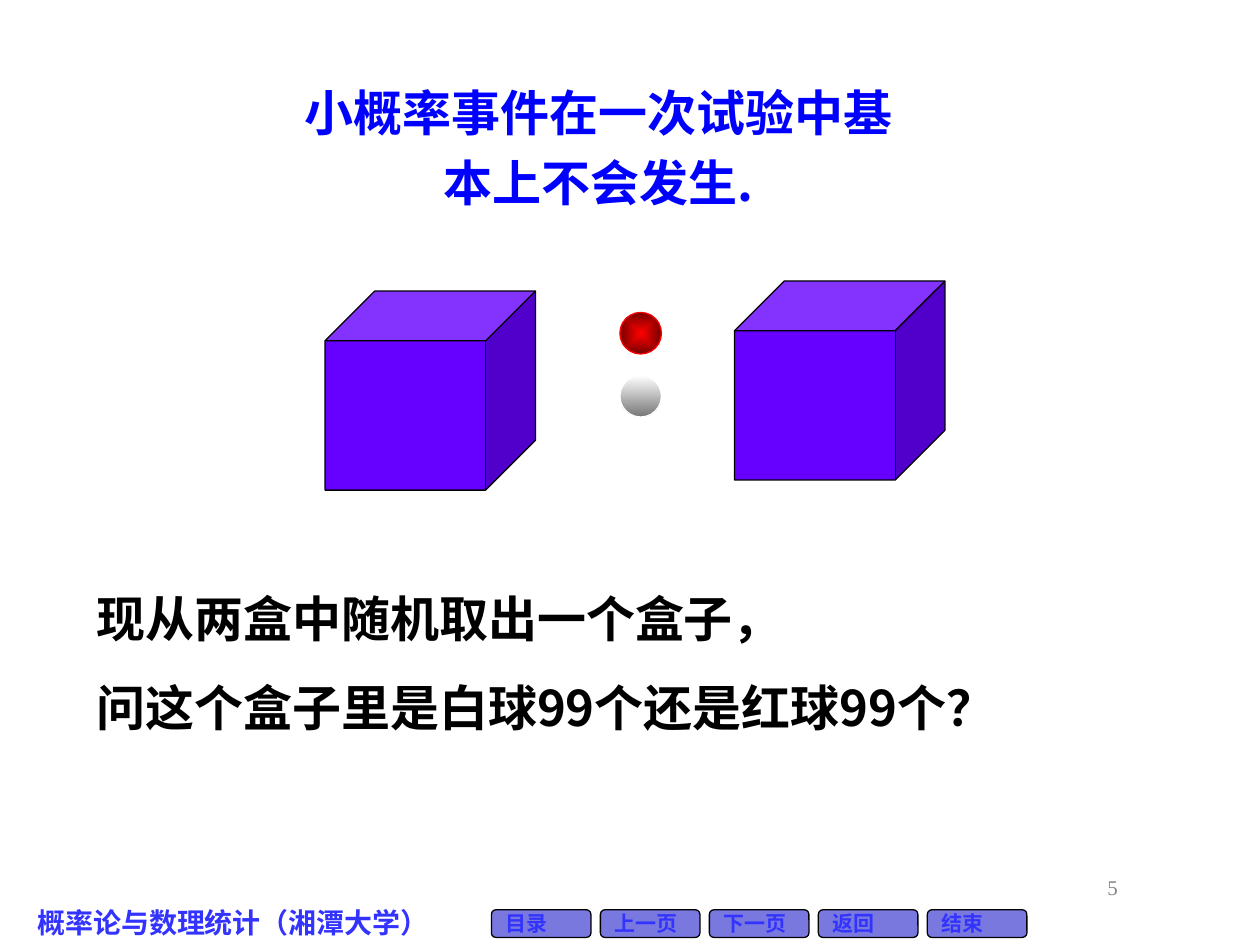
from dataclasses import dataclass

from lxml import etree
from pptx import Presentation
from pptx.dml.color import RGBColor
from pptx.enum.shapes import MSO_SHAPE
from pptx.enum.text import MSO_ANCHOR, MSO_AUTO_SIZE, PP_ALIGN
from pptx.oxml.ns import qn
from pptx.util import Inches, Pt

BUTTON, CUBE, BALL = MSO_SHAPE.FLOWCHART_ALTERNATE_PROCESS, MSO_SHAPE.CUBE, MSO_SHAPE.OVAL
TOP, MIDDLE = MSO_ANCHOR.TOP, MSO_ANCHOR.MIDDLE
LEFT, CENTER, RIGHT = PP_ALIGN.LEFT, PP_ALIGN.CENTER, PP_ALIGN.RIGHT
GROW, FIXED = MSO_AUTO_SIZE.SHAPE_TO_FIT_TEXT, MSO_AUTO_SIZE.NONE

SANS, SERIF = "Noto Sans CJK SC", "Times New Roman"
BLACK = RGBColor(0x00, 0x00, 0x00)
WHITE = RGBColor(0xFF, 0xFF, 0xFF)
BLUE = RGBColor(0x00, 0x00, 0xFF)
NAV_BLUE = RGBColor(0x33, 0x33, 0xFF)
NAV_FILL = RGBColor(0x78, 0x78, 0xDE)
VIOLET = RGBColor(0x66, 0x00, 0xFF)
RED = RGBColor(0xFF, 0x00, 0x00)
DARK_RED = RGBColor(0x76, 0x00, 0x00)
GRAY = RGBColor(0x76, 0x76, 0x76)
NUMBER_GRAY = RGBColor(0x89, 0x89, 0x89)

NAV_LABELS = ("目录", "上一页", "下一页", "返回", "结束")
NAV_LEFT, NAV_STEP = 3.9, 0.865


@dataclass(frozen=True)
class Box:
    left: float
    top: float
    width: float
    height: float

    def lengths(self) -> tuple:
        return tuple(Inches(v) for v in (self.left, self.top, self.width, self.height))


@dataclass(frozen=True)
class Style:
    size: int
    color: RGBColor
    font: str = SANS
    bold: bool = True
    align: PP_ALIGN = LEFT
    spacing: float = 1.0


@dataclass(frozen=True)
class Label:
    box: Box
    lines: tuple
    style: Style
    anchor: MSO_ANCHOR = MIDDLE
    auto_size: MSO_AUTO_SIZE = GROW


@dataclass(frozen=True)
class Ball:
    box: Box
    start: RGBColor
    end: RGBColor
    radial: bool


NAV_STYLE = Style(12, NAV_BLUE)
LABELS = (
    Label(Box(0.2, 7.14, 4.06, 0.37), ("概率论与数理统计（湘潭大学）",), Style(16, NAV_BLUE), TOP),
    Label(Box(6.89, 6.79, 2.08, 0.5), ("5",),
          Style(12, NUMBER_GRAY, SERIF, False, RIGHT), MIDDLE, FIXED),
    Label(Box(2.25, 0.51, 5, 1.22), ("小概率事件在一次试验中基本上不会发生.",),
          Style(28, BLUE, align=CENTER, spacing=1.2)),
    Label(Box(0.67, 4.39, 8.8, 1.5),
          ("现从两盒中随机取出一个盒子，", "问这个盒子里是白球99个还是红球99个？"),
          Style(28, BLACK, spacing=1.5)),
)
CUBES = (Box(2.58, 2.31, 1.67, 1.58), Box(5.83, 2.23, 1.67, 1.58))
BALLS = (
    Ball(Box(4.92, 2.48, 0.33, 0.33), RED, DARK_RED, True),
    Ball(Box(4.92, 2.98, 0.33, 0.33), WHITE, GRAY, False),
)


def write(tf, lines: tuple, style: Style) -> None:
    """Fill a text frame with one styled run per paragraph."""
    for i, text in enumerate(lines):
        p = tf.add_paragraph() if i else tf.paragraphs[0]
        p.alignment, p.line_spacing = style.align, style.spacing
        r = p.add_run()
        r.text = text
        r.font.size, r.font.bold, r.font.name = Pt(style.size), style.bold, style.font
        r.font.color.rgb = style.color
        etree.SubElement(r.font._element, qn("a:ea"), typeface=style.font)


def add_label(s, label: Label) -> None:
    """Add a wrapped text box."""
    tf = s.shapes.add_textbox(*label.box.lengths()).text_frame
    tf.word_wrap, tf.auto_size = True, label.auto_size
    tf.vertical_anchor = label.anchor
    write(tf, label.lines, label.style)


def add_outlined(s, kind: MSO_SHAPE, box: Box, line: RGBColor):
    """Add a preset shape with a thin outline and no shadow."""
    sp = s.shapes.add_shape(kind, *box.lengths())
    sp.shadow.inherit = False
    sp.line.color.rgb, sp.line.width = line, Pt(0.75)
    return sp


def add_solid(s, kind: MSO_SHAPE, box: Box, fill: RGBColor):
    """Add a black-outlined preset shape with a solid fill."""
    sp = add_outlined(s, kind, box, BLACK)
    sp.fill.solid()
    sp.fill.fore_color.rgb = fill
    return sp


def add_button(s, index: int, text: str) -> None:
    """Add one navigation button at its place in the row."""
    sp = add_solid(s, BUTTON, Box(NAV_LEFT + index * NAV_STEP, 7.22, 0.79, 0.22), NAV_FILL)
    tf = sp.text_frame
    tf.word_wrap, tf.vertical_anchor = False, MIDDLE
    write(tf, (text,), NAV_STYLE)


def add_ball(s, ball: Ball) -> None:
    """Add a ball with a vertical or centred gradient."""
    sp = add_outlined(s, BALL, ball.box, ball.start)
    sp.fill.gradient()
    sp.fill.gradient_angle = 270
    for stop, color in zip(sp.fill.gradient_stops, (ball.start, ball.end)):
        stop.color.rgb = color
    if ball.radial:
        grad = sp._element.spPr.find(qn("a:gradFill"))
        grad.remove(grad.find(qn("a:lin")))
        center = etree.SubElement(grad, qn("a:path"), path="rect")
        etree.SubElement(center, qn("a:fillToRect"), l="50000", t="50000", r="50000", b="50000")


def main() -> None:
    """Build the slide and save it."""
    prs = Presentation()
    prs.slide_width, prs.slide_height = Inches(10), Inches(7.5)
    s = prs.slides.add_slide(prs.slide_layouts[6])
    for i, text in enumerate(NAV_LABELS):
        add_button(s, i, text)
    for label in LABELS:
        add_label(s, label)
    for box in CUBES:
        add_solid(s, CUBE, box, VIOLET).adjustments[0] = 0.25
    for ball in BALLS:
        add_ball(s, ball)
    prs.save("out.pptx")


if __name__ == "__main__":
    main()
